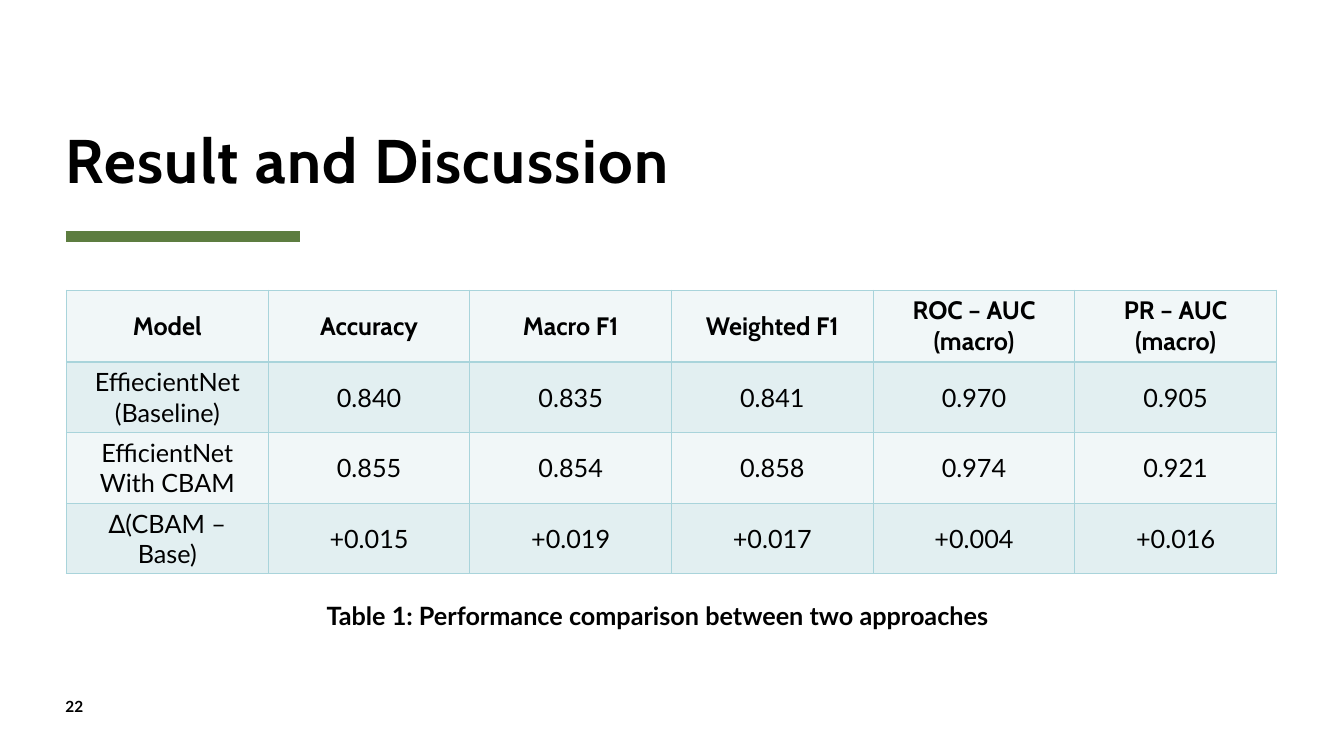
"""Build the results slide with its model comparison table."""
import lxml.etree
import pptx
import pptx.dml.color
import pptx.enum.shapes
import pptx.enum.text
import pptx.oxml.ns
import pptx.util

PX = 9144
BLACK = pptx.dml.color.RGBColor(0x00, 0x00, 0x00)
GREEN = pptx.dml.color.RGBColor(0x5D, 0x7D, 0x40)
BORDER = pptx.dml.color.RGBColor(0xA9, 0xD4, 0xDB)
BANDS = (
    pptx.dml.color.RGBColor(0xF1, 0xF7, 0xF8),
    pptx.dml.color.RGBColor(0xE2, 0xEF, 0xF1),
)
HEADING_FONT = "Cabin"
BODY_FONT = "Lato"
RESULTS = (
    ("Model", "Accuracy", "Macro F1", "Weighted F1", "ROC – AUC (macro)", "PR – AUC (macro)"),
    ("EffiecientNet (Baseline)", "0.840", "0.835", "0.841", "0.970", "0.905"),
    ("EfficientNet With CBAM", "0.855", "0.854", "0.858", "0.974", "0.921"),
    ("∆(CBAM – Base)", "+0.015", "+0.019", "+0.017", "+0.004", "+0.016"),
)


def px(*lengths):
    return [pptx.util.Emu(length * PX) for length in lengths]


def add_run(para, text, font, size, bold=True):
    span = para.add_run()
    span.text = text
    span.font.name = font
    span.font.size = pptx.util.Pt(size)
    span.font.bold = bold
    span.font.color.rgb = BLACK
    return span


def clear_insets(frame):
    frame.margin_left = frame.margin_top = frame.margin_right = frame.margin_bottom = 0


def set_title(slide, text):
    title = slide.shapes.title
    title.left, title.top, title.width, title.height = px(65, 64, 1200, 130)
    frame = title.text_frame
    clear_insets(frame)
    frame.word_wrap = True
    frame.auto_size = pptx.enum.text.MSO_AUTO_SIZE.NONE
    frame.vertical_anchor = pptx.enum.text.MSO_ANCHOR.BOTTOM
    para = frame.paragraphs[0]
    para.alignment = pptx.enum.text.PP_ALIGN.LEFT
    para.line_spacing = 0.8
    span = add_run(para, text, HEADING_FONT, 44)
    span.font._element.set("spc", "100")


def add_rule(slide, left, right, middle):
    rule = slide.shapes.add_connector(
        pptx.enum.shapes.MSO_CONNECTOR.STRAIGHT, *px(left, middle, right, middle))
    rule.line.color.rgb = GREEN
    rule.line.width = pptx.util.Pt(8)
    lxml.etree.SubElement(rule._element.spPr, pptx.oxml.ns.qn("a:effectLst"))


def add_text(slide, place, text, size, inset=True):
    box = slide.shapes.add_textbox(*px(*place))
    frame = box.text_frame
    frame.word_wrap = True
    if not inset:
        clear_insets(frame)
    add_run(frame.paragraphs[0], text, BODY_FONT, size)


def add_borders(cell):
    properties = cell._tc.get_or_add_tcPr()
    for position, side in enumerate(("lnL", "lnR", "lnT", "lnB")):
        edge = lxml.etree.Element(
            pptx.oxml.ns.qn(f"a:{side}"), w=str(pptx.util.Pt(1)))
        fill = lxml.etree.SubElement(edge, pptx.oxml.ns.qn("a:solidFill"))
        lxml.etree.SubElement(fill, pptx.oxml.ns.qn("a:srgbClr"), val=str(BORDER))
        properties.insert(position, edge)


def add_results(slide, left, top, column_width, row_height):
    rows, columns = len(RESULTS), len(RESULTS[0])
    table = slide.shapes.add_table(
        rows, columns, *px(left, top, column_width * columns, row_height * rows)).table
    table.horz_banding = False
    for row, values in enumerate(RESULTS):
        header = row == 0
        for column, value in enumerate(values):
            cell = table.cell(row, column)
            cell.fill.solid()
            cell.fill.fore_color.rgb = BANDS[row % 2]
            cell.vertical_anchor = pptx.enum.text.MSO_ANCHOR.MIDDLE
            para = cell.text_frame.paragraphs[0]
            para.alignment = pptx.enum.text.PP_ALIGN.CENTER
            add_run(para, value, HEADING_FONT if header else BODY_FONT, 18, header)
            add_borders(cell)


def main():
    deck = pptx.Presentation()
    deck.slide_width, deck.slide_height = px(1333, 750)
    slide = deck.slides.add_slide(deck.slide_layouts[5])
    add_rule(slide, 65, 298, 235)
    set_title(slide, "Result and Discussion")
    add_results(slide, 66, 288, 200, 65)
    add_text(slide, (314, 591, 705, 40),
             "Table 1: Performance comparison between two approaches", 18)
    add_text(slide, (65, 692, 57, 27), "22", 11, inset=False)
    deck.save("out.pptx")


if __name__ == "__main__":
    main()
